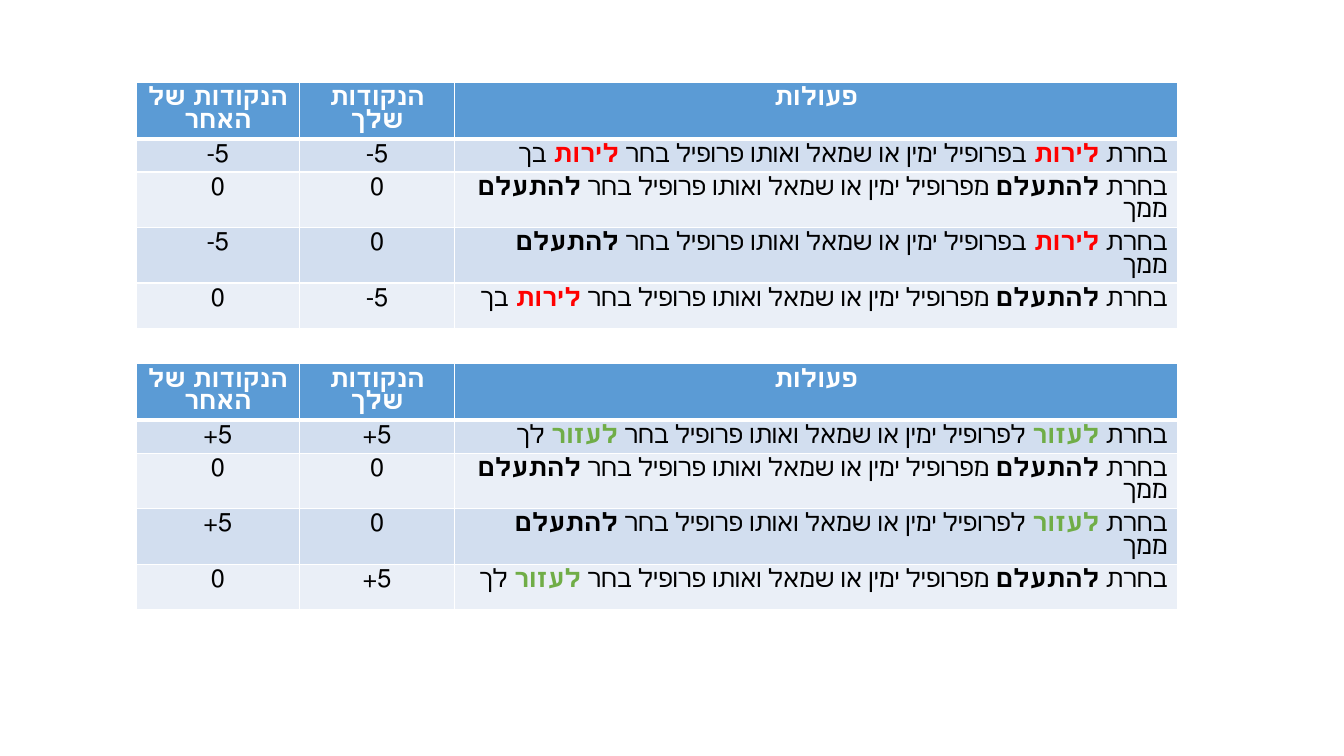
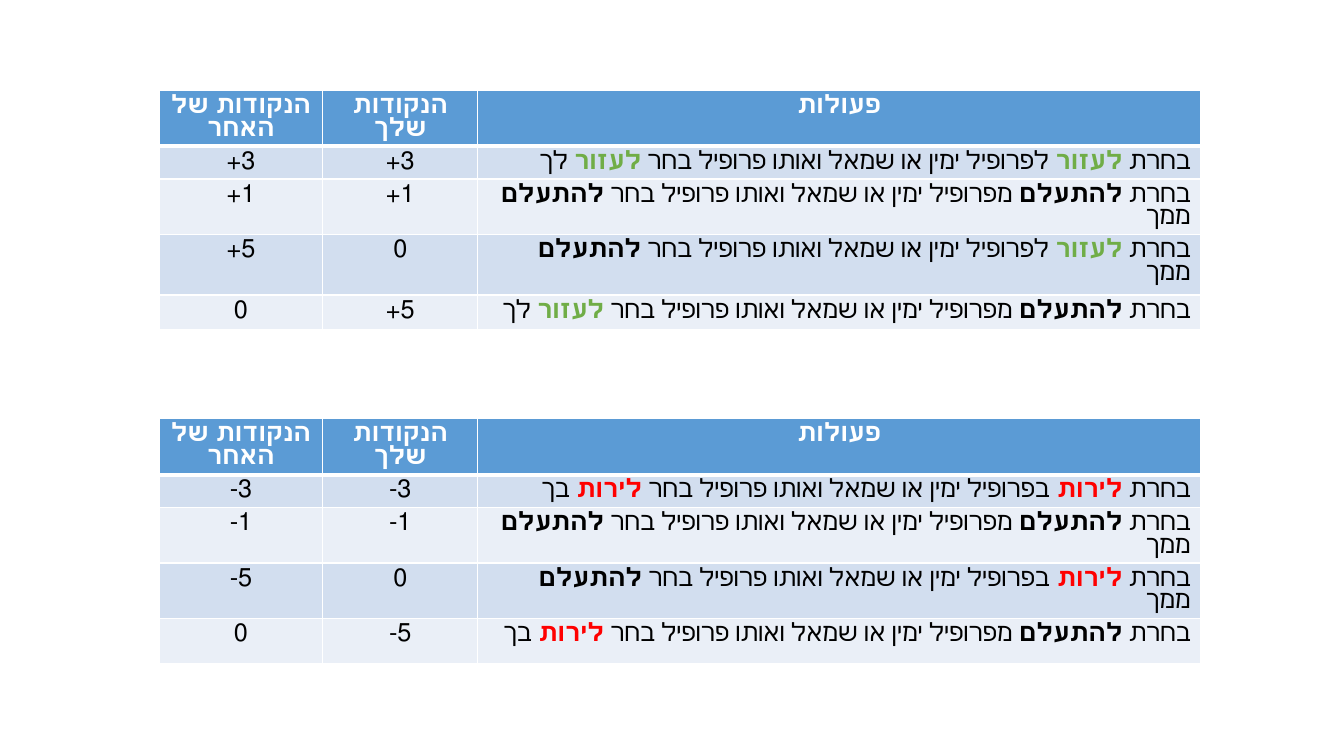
from dataclasses import dataclass

from lxml import etree
from pptx import Presentation
from pptx.dml.color import RGBColor
from pptx.enum.lang import MSO_LANGUAGE_ID
from pptx.enum.text import PP_ALIGN
from pptx.oxml.ns import qn
from pptx.util import Inches, Pt

CENTER, RIGHT = PP_ALIGN.CENTER, PP_ALIGN.RIGHT
HEBREW = MSO_LANGUAGE_ID.HEBREW

# Shared look
WHITE = RGBColor(0xFF, 0xFF, 0xFF)
BLACK = RGBColor(0x00, 0x00, 0x00)
RED = RGBColor(0xFF, 0x00, 0x00)
GREEN = RGBColor(0x70, 0xAD, 0x47)
HEADER_BLUE = RGBColor(0x5B, 0x9B, 0xD5)
BANDS = (RGBColor(0xD2, 0xDE, 0xEF), RGBColor(0xEA, 0xEF, 0xF7))
FONT = "Calibri"
TEXT_SIZE = Pt(18)
LINE_SPACING = 0.9
THIN, THICK = Pt(1), Pt(3)

COLUMN_WIDTHS = (1.62, 1.54, 7.17)
TABLE_WIDTH = sum(COLUMN_WIDTHS)
HEADINGS = ("הנקודות של האחר", "הנקודות שלך", "פעולות")


@dataclass(frozen=True)
class Run:
    text: str
    color: RGBColor = BLACK
    bold: bool = False


@dataclass(frozen=True)
class Choice:
    verb: str
    color: RGBColor
    profile: str
    toward_you: str


@dataclass(frozen=True)
class PayoffTable:
    left: float
    top: float
    height: float
    row_heights: tuple[float, ...]
    action: Choice
    both_act: str
    both_ignore: str
    one_sided: str


SHOOT = Choice("לירות ", RED, "בפרופיל", "בך")
HELP = Choice("לעזור", GREEN, " לפרופיל", " לך")
IGNORE = Choice("להתעלם", BLACK, " מפרופיל", " ממך")

ROOMY_ROWS = (0.56, 0.32, 0.32, 0.32, 0.45)
TIGHT_ROWS = (0.53, 0.31, 0.31, 0.6, 0.34)

SLIDES = (
    (
        PayoffTable(1.35, 0.82, 2.35, ROOMY_ROWS, SHOOT, "5-", "0", "5-"),
        PayoffTable(1.35, 3.61, 2.35, ROOMY_ROWS, HELP, "5+", "0", "5+"),
    ),
    (
        PayoffTable(1.58, 0.9, 2.3, TIGHT_ROWS, HELP, "3+", "1+", "5+"),
        PayoffTable(1.58, 4.15, 2.35, ROOMY_ROWS, SHOOT, "3-", "1-", "5-"),
    ),
)


def outcome(yours: Choice, theirs: Choice) -> list[Run]:
    """Sentence telling what you and the other profile chose."""
    return [
        Run("בחרת "),
        Run(yours.verb, yours.color, True),
        Run(f"{yours.profile} ימין או שמאל ואותו פרופיל בחר "),
        Run(theirs.verb, theirs.color, True),
        Run(theirs.toward_you),
    ]


def table_rows(payoff: PayoffTable) -> list[list[list[Run]]]:
    act = payoff.action
    results = (
        (payoff.both_act, payoff.both_act, act, act),
        (payoff.both_ignore, payoff.both_ignore, IGNORE, IGNORE),
        (payoff.one_sided, "0", act, IGNORE),
        ("0", payoff.one_sided, IGNORE, act),
    )
    header = [[Run(heading, WHITE, True)] for heading in HEADINGS]
    return [header] + [
        [[Run(other_points)], [Run(your_points)], outcome(yours, theirs)]
        for other_points, your_points, yours, theirs in results
    ]


def set_borders(cell, top: int, bottom: int) -> None:
    properties = cell._tc.get_or_add_tcPr()
    for side, width in (("L", THIN), ("R", THIN), ("T", top), ("B", bottom)):
        border = etree.SubElement(properties, qn(f"a:ln{side}"), w=str(width))
        fill = etree.SubElement(border, qn("a:solidFill"))
        etree.SubElement(fill, qn("a:srgbClr"), val=str(WHITE))


def write_cell(cell, runs: list[Run], align: PP_ALIGN) -> None:
    paragraph = cell.text_frame.paragraphs[0]
    paragraph.alignment = align
    paragraph.line_spacing = LINE_SPACING
    paragraph._p.get_or_add_pPr().set("rtl", "1")
    for part in runs:
        run = paragraph.add_run()
        run.text = part.text
        run.font.name = FONT
        run.font.size = TEXT_SIZE
        run.font.bold = part.bold
        run.font.color.rgb = part.color
        run.font.language_id = HEBREW


def draw_payoffs(slide, payoff: PayoffTable) -> None:
    rows = table_rows(payoff)
    frame = slide.shapes.add_table(
        len(rows), len(HEADINGS), Inches(payoff.left), Inches(payoff.top),
        Inches(TABLE_WIDTH), Inches(payoff.height),
    )
    grid = frame.table
    for column, width in zip(grid.columns, COLUMN_WIDTHS):
        column.width = Inches(width)
    for row, height in zip(grid.rows, payoff.row_heights):
        row.height = Inches(height)
    frame.height = Inches(payoff.height)

    for row_index, row in enumerate(rows):
        is_header = row_index == 0
        for column_index, runs in enumerate(row):
            cell = grid.cell(row_index, column_index)
            # The thick rule lies between the header and the first outcome
            set_borders(cell, THICK if row_index == 1 else THIN,
                        THICK if is_header else THIN)
            cell.fill.solid()
            cell.fill.fore_color.rgb = (
                HEADER_BLUE if is_header else BANDS[(row_index - 1) % 2])
            is_sentence = column_index == 2 and not is_header
            write_cell(cell, runs, RIGHT if is_sentence else CENTER)


# Build the deck
deck = Presentation()
deck.slide_width, deck.slide_height = Inches(13.33), Inches(7.5)
blank = deck.slide_layouts[6]
for payoffs in SLIDES:
    slide = deck.slides.add_slide(blank)
    for payoff in payoffs:
        draw_payoffs(slide, payoff)
deck.save("out.pptx")
